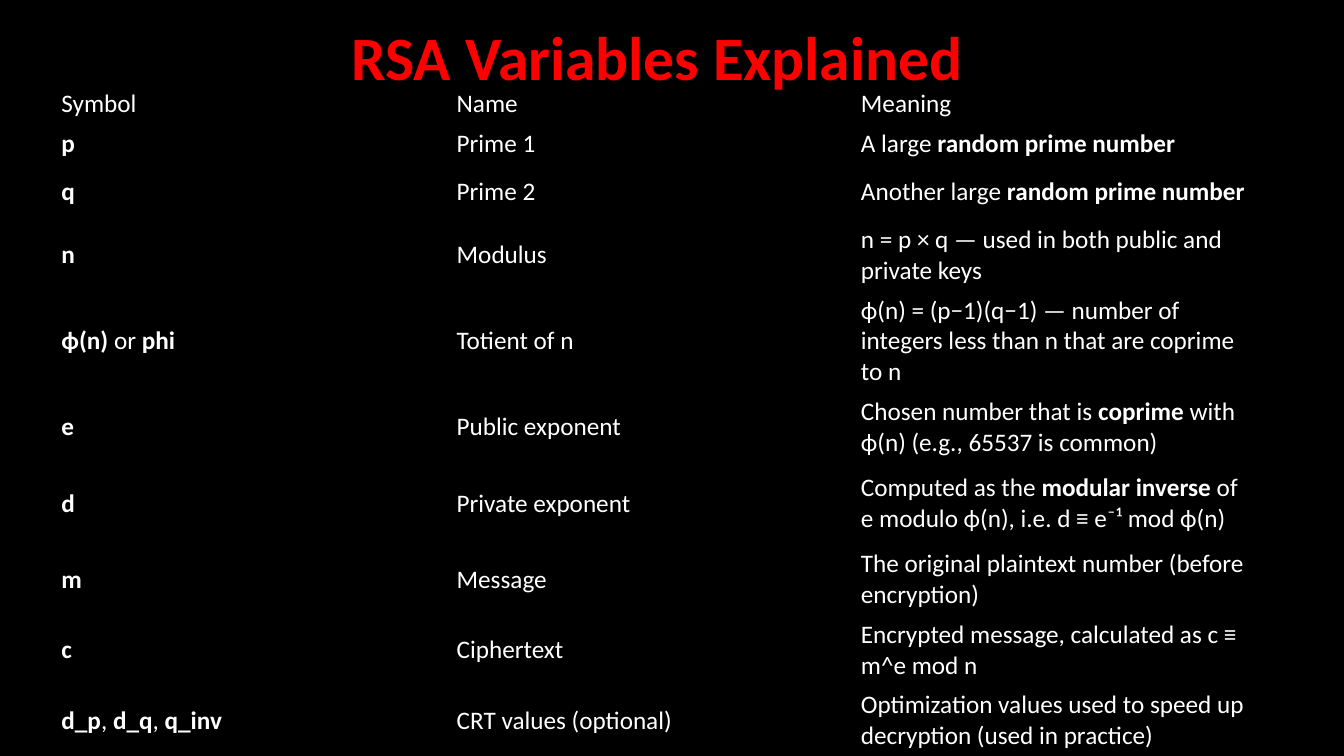
from pptx import Presentation
from pptx.dml.color import RGBColor
from pptx.enum.text import MSO_ANCHOR, PP_ALIGN
from pptx.util import Inches, Pt

BLACK = RGBColor(0x00, 0x00, 0x00)
WHITE = RGBColor(0xFF, 0xFF, 0xFF)
RED = RGBColor(0xFF, 0x00, 0x00)
NO_STYLE_NO_GRID = "{2D5ABB26-0587-4C30-8999-92F81FD0307C}"

presentation = Presentation()
presentation.slide_width = Inches(13.33)
presentation.slide_height = Inches(7.5)

# Lengths are percentages of the slide's width and height
COLUMN = presentation.slide_width / 100
ROW = presentation.slide_height / 100

VARIABLES = [
    # row height, symbol, name, meaning; ** switches bold on and off
    (5.2, "Symbol", "Name", "Meaning"),
    (5.2, "**p**", "Prime 1", "A large **random prime number**"),
    (7.47, "**q**", "Prime 2", "Another large **random prime number**"),
    (9.33, "**n**", "Modulus", "n = p × q — used in both public and private keys"),
    (13.47, "**ϕ(n)** or **phi**", "Totient of n",
     "ϕ(n) = (p−1)(q−1) — number of integers less than n that are coprime to n"),
    (9.33, "**e**", "Public exponent",
     "Chosen number that is **coprime** with ϕ(n) (e.g., 65537 is common)"),
    (10.8, "**d**", "Private exponent",
     "Computed as the **modular inverse** of e modulo ϕ(n), i.e. d ≡ e⁻¹ mod ϕ(n)"),
    (9.33, "**m**", "Message", "The original plaintext number (before encryption)"),
    (9.33, "**c**", "Ciphertext", "Encrypted message, calculated as c ≡ m^e mod n"),
    (9.33, "**d_p**, **d_q**, **q_inv**", "CRT values (optional)",
     "Optimization values used to speed up decryption (used in practice)"),
]
COLUMN_WIDTHS = (29.41, 30.08, 30.08)


def write_text(text_frame, text, size=18, color=WHITE, align=PP_ALIGN.LEFT, spacing=1.0):
    text_frame.word_wrap = True
    paragraph = text_frame.paragraphs[0]
    paragraph.alignment = align
    paragraph.line_spacing = spacing
    for index, part in enumerate(text.split("**")):
        if part:
            run = paragraph.add_run()
            run.text = part
            run.font.name = "Calibri"
            run.font.size = Pt(size)
            run.font.color.rgb = color
            run.font.bold = index % 2 == 1


# Background
slide = presentation.slides.add_slide(presentation.slide_layouts[6])
slide.background.fill.solid()
slide.background.fill.fore_color.rgb = BLACK

# Title
title = slide.shapes.add_textbox(
    round(5.78 * COLUMN), round(-1.6 * ROW), round(86.27 * COLUMN), round(19.33 * ROW))
title.text_frame.vertical_anchor = MSO_ANCHOR.MIDDLE
write_text(title.text_frame, "**RSA Variables Explained**", size=44, color=RED,
           align=PP_ALIGN.CENTER, spacing=0.9)

# Table of variables
table_shape = slide.shapes.add_table(
    len(VARIABLES), len(COLUMN_WIDTHS), round(4.05 * COLUMN), round(11.2 * ROW),
    round(sum(COLUMN_WIDTHS) * COLUMN), round(sum(row[0] for row in VARIABLES) * ROW))
table = table_shape.table
table.first_row = False
table.horz_banding = False
table._tbl.tblPr[0].text = NO_STYLE_NO_GRID

for table_column, width in zip(table.columns, COLUMN_WIDTHS):
    table_column.width = round(width * COLUMN)

for row_index, (height, *texts) in enumerate(VARIABLES):
    table.rows[row_index].height = round(height * ROW)
    for column_index, text in enumerate(texts):
        cell = table.cell(row_index, column_index)
        cell.fill.background()
        cell.vertical_anchor = MSO_ANCHOR.MIDDLE
        cell.margin_left = cell.margin_right = Inches(0.07)
        cell.margin_top = cell.margin_bottom = Inches(0.03)
        write_text(cell.text_frame, text)

presentation.save("out.pptx")
